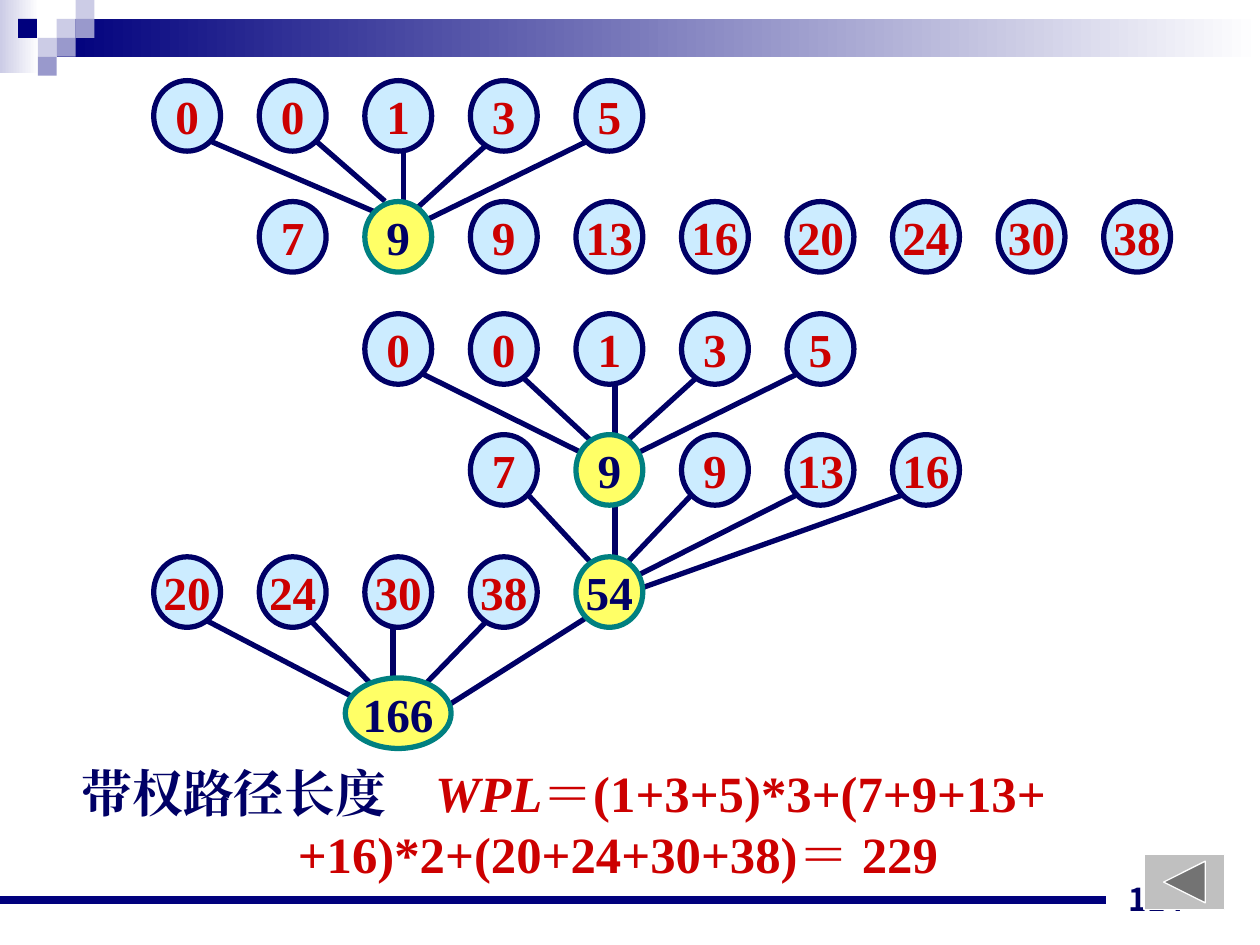
"""Build the slide of a five-way Huffman tree and its weighted path length."""
import pptx
import pptx.util
import pptx.dml.color
import pptx.enum.shapes
import pptx.enum.text
import pptx.oxml.ns
import lxml.etree

Pt = pptx.util.Pt
RGB = pptx.dml.color.RGBColor
Kind = pptx.enum.shapes.MSO_SHAPE
Align = pptx.enum.text.PP_ALIGN
Anchor = pptx.enum.text.MSO_ANCHOR
qn = pptx.oxml.ns.qn

NAVY = RGB(0x00, 0x00, 0x66)
DEEP = RGB(0x00, 0x00, 0x7D)
RED = RGB(0xCC, 0x00, 0x00)
SKY = RGB(0xCC, 0xEC, 0xFF)
YELLOW = RGB(0xFF, 0xFF, 0x66)
TEAL = RGB(0x00, 0x80, 0x80)
PALE = RGB(0xCC, 0xCC, 0xE6)
LILAC = RGB(0x99, 0x99, 0xCC)
GREY = RGB(0xC0, 0xC0, 0xC0)
WHITE = RGB(0xFF, 0xFF, 0xFF)
SERIF = "Times New Roman"

deck = pptx.Presentation()
deck.slide_width, deck.slide_height = Pt(720), Pt(540)
slide = deck.slides.add_slide(deck.slide_layouts[6])
shapes = slide.shapes


def add_form(kind, box, fill, line=None, width=3):
    form = shapes.add_shape(kind, *map(Pt, box))
    form.shadow.inherit = False
    if isinstance(fill, tuple) and not isinstance(fill, RGB):
        form.fill.gradient()
        form.fill.gradient_angle = 0
        for stop, tint in zip(form.fill.gradient_stops, fill):
            stop.color.rgb = tint
    else:
        form.fill.solid()
        form.fill.fore_color.rgb = fill
    if line is None:
        form.line.fill.background()
    else:
        form.line.color.rgb = line
        form.line.width = Pt(width)
    return form


def add_run(para, text, color, **style):
    run = para.add_run()
    run.text = text
    for key, value in style.items():
        setattr(run.font, key, value)
    run.font.color.rgb = color
    east = lxml.etree.SubElement(run.font._element, qn("a:ea"))
    east.set("typeface", style["name"])


add_form(Kind.RECTANGLE, (0, 0, 22.3, 41.8), (PALE, WHITE))
add_form(Kind.RECTANGLE, (32.4, 10.8, 687.6, 21.6), (DEEP, WHITE))
tiles = [(32.4, 10.8, PALE), (43.2, 0, PALE), (43.2, 10.8, LILAC),
         (21.6, 21.6, PALE), (10.3, 10.8, DEEP), (32.4, 21.6, LILAC),
         (21.6, 32.4, LILAC)]
for left, top, tint in tiles:
    add_form(Kind.RECTANGLE, (left, top, 10.8, 10.8), tint)

edges = [
    (121, 81, 214, 121), (181, 81, 220, 115), (230.4, 86.4, 230.4, 115.2),
    (280, 81, 236, 121), (335, 81, 241, 127),
    (230, 208, 335, 260), (297, 214, 340, 254), (351.4, 219.6, 351.4, 248.4),
    (400, 214, 356, 254), (455, 214, 362, 260),
    (302, 283, 340, 324), (351.4, 288.7, 351.4, 318.2), (395, 283, 356, 324),
    (455, 283, 362, 330), (515.5, 283, 368, 335.5),
    (115, 353, 203, 399), (176, 353, 214, 393), (224.6, 358.6, 224.6, 387.4),
    (280, 353, 241, 393), (335, 353, 253, 405),
]
lines = [(ends, NAVY, 3) for ends in edges]
lines.append(((0, 514.1, 632.2, 514.1), DEEP, 4.5))
for ends, tint, width in lines:
    link = shapes.add_connector(pptx.enum.shapes.MSO_CONNECTOR.STRAIGHT, *map(Pt, ends))
    link.line.color.rgb = tint
    link.line.width = Pt(width)
    lxml.etree.SubElement(link._element.spPr, qn("a:effectLst"))

# each row: top, first column, labels, index of the merged node
rows = [
    (46.1, 0, "0 0 1 3 5", None),
    (115.2, 1, "7 9 9 13 16 20 24 30 38", 1),
    (179.3, 2, "0 0 1 3 5", None),
    (248.4, 3, "7 9 9 13 16", 1),
    (318.2, 0, "20 24 30 38 54", 4),
    (387.4, 2, "166", 0),
]
for top, first, labels, merged in rows:
    for index, label in enumerate(labels.split()):
        fill, line, ink = (YELLOW, TEAL, NAVY) if index == merged else (SKY, NAVY, RED)
        wide = 60.5 if len(label) > 2 else 38.2
        mid = 106.94 + 60.32 * (first + index)
        node = add_form(Kind.OVAL, (mid - wide / 2, top, wide, 40.3), fill, line)
        frame = node.text_frame
        frame.word_wrap = False
        frame.vertical_anchor = Anchor.MIDDLE
        para = frame.paragraphs[0]
        para.alignment = Align.CENTER
        add_run(para, label, ink, name=SERIF, size=Pt(27), bold=True)

frame = shapes.add_textbox(Pt(39.6), Pt(431.3), Pt(635), Pt(77)).text_frame
frame.word_wrap = True
head, tail = frame.paragraphs[0], frame.add_paragraph()
stops = lxml.etree.SubElement(head._p.get_or_add_pPr(), qn("a:tabLst"))
lxml.etree.SubElement(stops, qn("a:tab"), pos=str(Pt(202)), algn="l")
for name, value in {"marL": Pt(123.5), "indent": 0}.items():
    tail._p.get_or_add_pPr().set(name, str(value))
for para in (head, tail):
    para.line_spacing = Pt(35)
face = {"name": SERIF, "size": Pt(29), "bold": True}
add_run(head, "带权路径长度\t", NAVY, **face)
add_run(head, "WPL", RED, italic=True, **face)
add_run(head, "＝(1+3+5)*3+(7+9+13+", RED, **face)
add_run(tail, "+16)*2+(20+24+30+38)＝ 229", RED, **face)

frame = shapes.add_textbox(Pt(516.2), Pt(491.8), Pt(167.8), Pt(36)).text_frame
frame.word_wrap = True
frame.vertical_anchor = Anchor.BOTTOM
para = frame.paragraphs[0]
para.alignment = Align.RIGHT
add_run(para, "114", NAVY, name="Noto Sans CJK JP", size=Pt(18), bold=True)

add_form(Kind.ACTION_BUTTON_BACK_OR_PREVIOUS, (653.8, 488.2, 46.1, 31.7), GREY, WHITE, 0.75)

deck.save("out.pptx")
